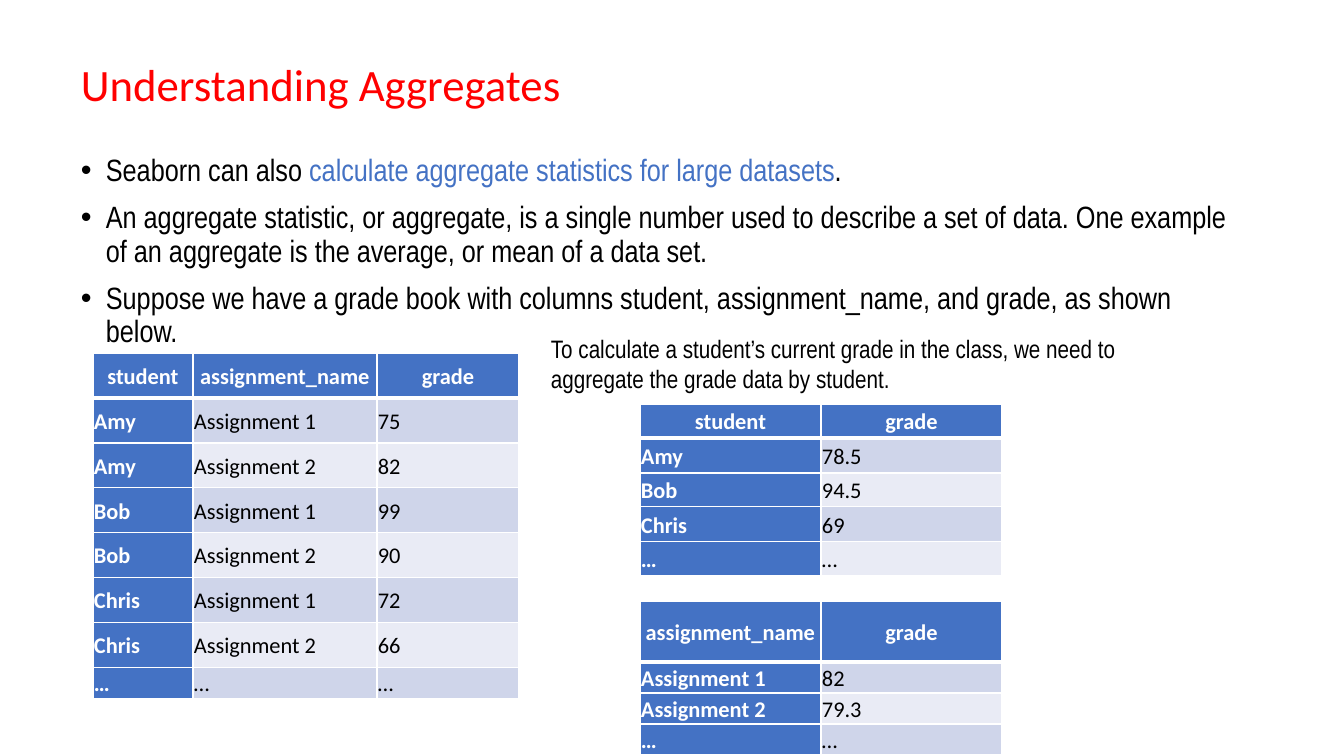
from pptx import Presentation
from pptx.dml.color import RGBColor
from pptx.enum.text import MSO_ANCHOR, PP_ALIGN
from pptx.oxml.ns import qn
from pptx.util import Emu, Pt
from lxml import etree

EMU_PER_PX = 914400 / 100.8
MIDDLE, TOP = MSO_ANCHOR.MIDDLE, MSO_ANCHOR.TOP
LEFT, CENTER = PP_ALIGN.LEFT, PP_ALIGN.CENTER

RED = RGBColor(0xFF, 0x00, 0x00)
BLACK = RGBColor(0x00, 0x00, 0x00)
WHITE = RGBColor(0xFF, 0xFF, 0xFF)
BLUE = RGBColor(0x44, 0x72, 0xC4)
DARK_BAND = RGBColor(0xCF, 0xD5, 0xEA)
LIGHT_BAND = RGBColor(0xE9, 0xEB, 0xF5)


def px(length):
    return Emu(round(length * EMU_PER_PX))


def write_text(frame, paragraphs, *, font, size, color=BLACK, bold=False, align=LEFT,
               spacing=1.0, before=0, bullet=False, anchor=TOP):
    """Fill a text frame; each paragraph is a list of (text, color or None) runs."""
    frame.word_wrap = True
    frame.vertical_anchor = anchor
    for index, runs in enumerate(paragraphs):
        paragraph = frame.add_paragraph() if index else frame.paragraphs[0]
        if bullet:
            properties = paragraph._p.get_or_add_pPr()
            properties.set("marL", str(px(25)))
            properties.set("indent", str(px(-25)))
            etree.SubElement(properties, qn("a:buFont"), typeface="Arial")
            etree.SubElement(properties, qn("a:buChar"), char="•")
        paragraph.alignment = align
        paragraph.line_spacing = spacing
        if index:
            paragraph.space_before = Pt(before)
        for text, run_color in runs:
            run = paragraph.add_run()
            run.text = text
            run.font.name = font
            run.font.size = Pt(size)
            run.font.bold = bold
            run.font.color.rgb = run_color or color


presentation = Presentation()
presentation.slide_width = px(1344)
presentation.slide_height = px(756)
slide = presentation.slides.add_slide(presentation.slide_layouts[6])

title = slide.shapes.add_textbox(px(71), px(40), px(1181), px(93))
write_text(title.text_frame, [[("Understanding Aggregates", None)]],
           font="Calibri", size=32, color=RED, spacing=0.9, anchor=MIDDLE)

body = slide.shapes.add_textbox(px(71), px(150), px(1181), px(530))
write_text(body.text_frame, [
    [("Seaborn can also ", None),
     ("calculate aggregate statistics for large datasets", BLUE),
     (".", None)],
    [("An aggregate statistic, or aggregate, is a single number used to describe a set of data. "
      "One example of an aggregate is the average, or mean of a data set.", None)],
    [("Suppose we have a grade book with columns student, assignment_name, and grade, "
      "as shown below.", None)],
], font="Arial Narrow", size=22, spacing=0.9, before=10, bullet=True)

# Each table: left, top, column widths, row heights, rows of text
tables = [
    (93, 353, [100, 184, 142], [45] * 7 + [31], [
        ["student", "assignment_name", "grade"],
        ["Amy", "Assignment 1", "75"],
        ["Amy", "Assignment 2", "82"],
        ["Bob", "Assignment 1", "99"],
        ["Bob", "Assignment 2", "90"],
        ["Chris", "Assignment 1", "72"],
        ["Chris", "Assignment 2", "66"],
        ["…", "…", "…"],
    ]),
    (640, 404, [181, 181], [34, 35, 34, 35, 34], [
        ["student", "grade"],
        ["Amy", "78.5"],
        ["Bob", "94.5"],
        ["Chris", "69"],
        ["…", "…"],
    ]),
    (640, 601, [181, 181], [61, 31, 31, 31], [
        ["assignment_name", "grade"],
        ["Assignment 1", "82"],
        ["Assignment 2", "79.3"],
        ["…", "…"],
    ]),
]

for left, top, widths, heights, rows in tables:
    table = slide.shapes.add_table(len(rows), len(widths), px(left), px(top),
                                   px(sum(widths)), px(sum(heights))).table
    table.first_col = True
    for column, width in zip(table.columns, widths):
        column.width = px(width)
    for row_index, (row, height, texts) in enumerate(zip(table.rows, heights, rows)):
        row.height = px(height)
        for column_index, (cell, text) in enumerate(zip(row.cells, texts)):
            is_header = row_index == 0
            is_label = is_header or column_index == 0
            cell.margin_left = cell.margin_right = px(1)
            cell.margin_top = cell.margin_bottom = px(1)
            cell.vertical_anchor = MIDDLE
            write_text(cell.text_frame, [[(text, None)]], font="Calibri", size=16,
                       color=WHITE if is_label else BLACK, bold=is_label,
                       align=CENTER if is_header else LEFT, spacing=1.07, anchor=None)
            for edge in ("L", "R", "T", "B"):
                under_header = (row_index, edge) in ((0, "B"), (1, "T"))
                line = etree.SubElement(cell._tc.get_or_add_tcPr(), qn(f"a:ln{edge}"),
                                        w=str(Pt(3 if under_header else 1)))
                line_fill = etree.SubElement(line, qn("a:solidFill"))
                etree.SubElement(line_fill, qn("a:srgbClr"), val=str(WHITE))
            band = DARK_BAND if row_index % 2 else LIGHT_BAND
            cell.fill.solid()
            cell.fill.fore_color.rgb = BLUE if is_label else band

note = slide.shapes.add_textbox(px(541), px(328), px(672), px(72))
write_text(note.text_frame, [[
    ("To calculate a student’s current grade in the class, we need to aggregate "
     "the grade data by student.", None)]], font="Arial Narrow", size=18)

presentation.save("out.pptx")
